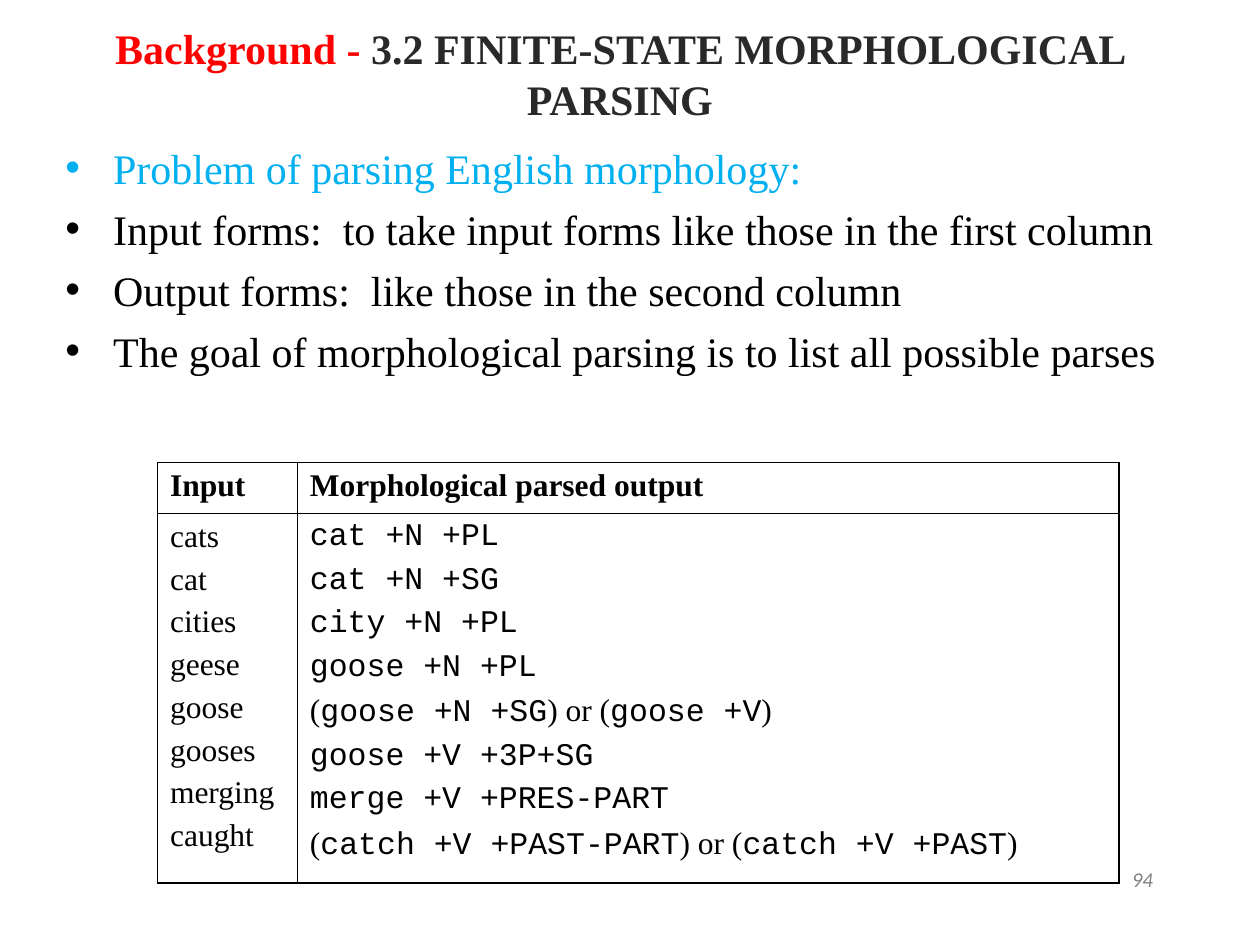
"""Build the slide on finite-state morphological parsing."""
from dataclasses import dataclass

from lxml import etree
from pptx import Presentation
from pptx import util as u
from pptx.dml.color import RGBColor
from pptx.enum import text as t
from pptx.oxml import ns


@dataclass(frozen=True)
class Theme:
    serif: str = "Times New Roman"
    mono: str = "Courier New"
    sans: str = "Calibri"
    bullet_font: str = "Arial"
    red: str = "FF0000"
    dark: str = "292929"
    cyan: str = "00B0F0"
    black: str = "000000"
    grey: str = "808080"
    heading_size: float = 24
    table_size: float = 18
    number_size: float = 12
    outer_line: float = 1.08
    inner_line: float = 0.45


THEME = Theme()


@dataclass(frozen=True)
class Run:
    text: str
    size: float = THEME.table_size
    name: str = THEME.serif
    color: str = THEME.black
    bold: bool = False
    italic: bool = False


@dataclass(frozen=True)
class Box:
    left: float
    top: float
    width: float
    height: float


TITLE_BOX = Box(0.67, 0.08, 8.5, 1)
POINTS_BOX = Box(0.42, 1.08, 9.17, 2.25)
NUMBER_BOX = Box(7.17, 6.83, 2.08, 0.5)
TABLE_BOX = Box(1.25, 3.67, 7.63, 3.34)
COLUMN_WIDTHS = (1.11, 6.52)
ROW_HEIGHTS = (0.4, 2.94)

TITLE = [
    Run("Background -", THEME.heading_size, color=THEME.red, bold=True),
    Run(" 3.2 FINITE-STATE MORPHOLOGICAL PARSING", THEME.heading_size,
        color=THEME.dark, bold=True),
]
POINTS = [
    Run("Problem of parsing English morphology:", THEME.heading_size, color=THEME.cyan),
    Run("Input forms:  to take input forms like those in the first column", THEME.heading_size),
    Run("Output forms:  like those in the second column", THEME.heading_size),
    Run("The goal of morphological parsing is to list all possible parses", THEME.heading_size),
]
PARSES = {
    "cats": ["cat +N +PL"],
    "cat": ["cat +N +SG"],
    "cities": ["city +N +PL"],
    "geese": ["goose +N +PL"],
    "goose": ["goose +N +SG", "goose +V"],
    "gooses": ["goose +V +3P+SG"],
    "merging": ["merge +V +PRES-PART"],
    "caught": ["catch +V +PAST-PART", "catch +V +PAST"],
}


def parse_runs(parses: list[str]) -> list[Run]:
    """Return one parse alone, or alternatives in brackets joined by "or"."""
    codes = [Run(parse, name=THEME.mono) for parse in parses]
    if len(codes) == 1:
        return codes
    first, second = codes
    return [Run("("), first, Run(") or ("), second, Run(")")]


def write(frame, paragraphs: list[list[Run]], space: float = 0, align=t.PP_ALIGN.LEFT) -> None:
    """Fill a text frame with paragraphs of formatted runs."""
    for index, runs in enumerate(paragraphs):
        paragraph = frame.add_paragraph() if index else frame.paragraphs[0]
        paragraph.alignment = align
        paragraph.space_before = u.Pt(space if index else 0)
        for item in runs:
            run = paragraph.add_run()
            run.text = item.text
            formats = {"size": u.Pt(item.size), "name": item.name,
                       "bold": item.bold, "italic": item.italic}
            for attribute, value in formats.items():
                setattr(run.font, attribute, value)
            run.font.color.rgb = RGBColor.from_string(item.color)


def add_text(slide, box: Box, paragraphs: list[list[Run]], space: float = 0,
             align=t.PP_ALIGN.LEFT, anchor=t.MSO_ANCHOR.TOP):
    """Add a wrapped text box and return its text frame."""
    shape = slide.shapes.add_textbox(u.Inches(box.left), u.Inches(box.top),
                                     u.Inches(box.width), u.Inches(box.height))
    shape.text_frame.word_wrap = True
    shape.text_frame.vertical_anchor = anchor
    write(shape.text_frame, paragraphs, space, align)
    return shape.text_frame


def add_bullet(paragraph, color: str) -> None:
    """Give a paragraph a coloured bullet and a hanging indent."""
    properties = paragraph._p.get_or_add_pPr()
    indent = u.Inches(0.38)
    properties.set("marL", str(indent))
    properties.set("indent", str(-indent))
    bullet_color = etree.SubElement(properties, ns.qn("a:buClr"))
    etree.SubElement(bullet_color, ns.qn("a:srgbClr"), val=color)
    etree.SubElement(properties, ns.qn("a:buFont"), typeface=THEME.bullet_font)
    etree.SubElement(properties, ns.qn("a:buChar"), char="•")


def add_borders(cell, widths: dict[str, float]) -> None:
    """Draw the four borders of a cell."""
    properties = cell._tc.get_or_add_tcPr()
    for index, (side, width) in enumerate(widths.items()):
        line = etree.Element(ns.qn(f"a:{side}"), w=str(u.Pt(width)))
        fill = etree.SubElement(line, ns.qn("a:solidFill"))
        etree.SubElement(fill, ns.qn("a:srgbClr"), val=THEME.black)
        properties.insert(index, line)


def add_parse_table(slide) -> None:
    """Add the table of inputs and their parses."""
    box = TABLE_BOX
    table = slide.shapes.add_table(2, 2, u.Inches(box.left), u.Inches(box.top),
                                   u.Inches(box.width), u.Inches(box.height)).table
    table.first_row = table.horz_banding = False
    for column, width in zip(table.columns, COLUMN_WIDTHS):
        column.width = u.Inches(width)
    for row, height in zip(table.rows, ROW_HEIGHTS):
        row.height = u.Inches(height)
    contents = [
        [[[Run("Input", bold=True)]], [[Run("Morphological parsed output", bold=True)]]],
        [[[Run(word)] for word in PARSES], [parse_runs(parses) for parses in PARSES.values()]],
    ]
    outer, inner = THEME.outer_line, THEME.inner_line
    for row, cells in enumerate(contents):
        for column, paragraphs in enumerate(cells):
            cell = table.cell(row, column)
            cell.fill.background()
            write(cell.text_frame, paragraphs, space=4.5)
            add_borders(cell, {"lnL": inner if column else outer,
                               "lnR": outer if column else inner,
                               "lnT": inner if row else outer,
                               "lnB": outer if row else inner})


def main() -> None:
    """Build and save the presentation."""
    presentation = Presentation()
    presentation.slide_width, presentation.slide_height = u.Inches(10), u.Inches(7.5)
    slide = presentation.slides.add_slide(presentation.slide_layouts[6])
    add_text(slide, TITLE_BOX, [TITLE], align=t.PP_ALIGN.CENTER, anchor=t.MSO_ANCHOR.MIDDLE)
    points = add_text(slide, POINTS_BOX, [[point] for point in POINTS], space=6)
    for paragraph, point in zip(points.paragraphs, POINTS):
        add_bullet(paragraph, point.color)
    number = Run("94", THEME.number_size, THEME.sans, THEME.grey, italic=True)
    add_text(slide, NUMBER_BOX, [[number]], align=t.PP_ALIGN.RIGHT)
    add_parse_table(slide)
    presentation.save("out.pptx")


if __name__ == "__main__":
    main()
